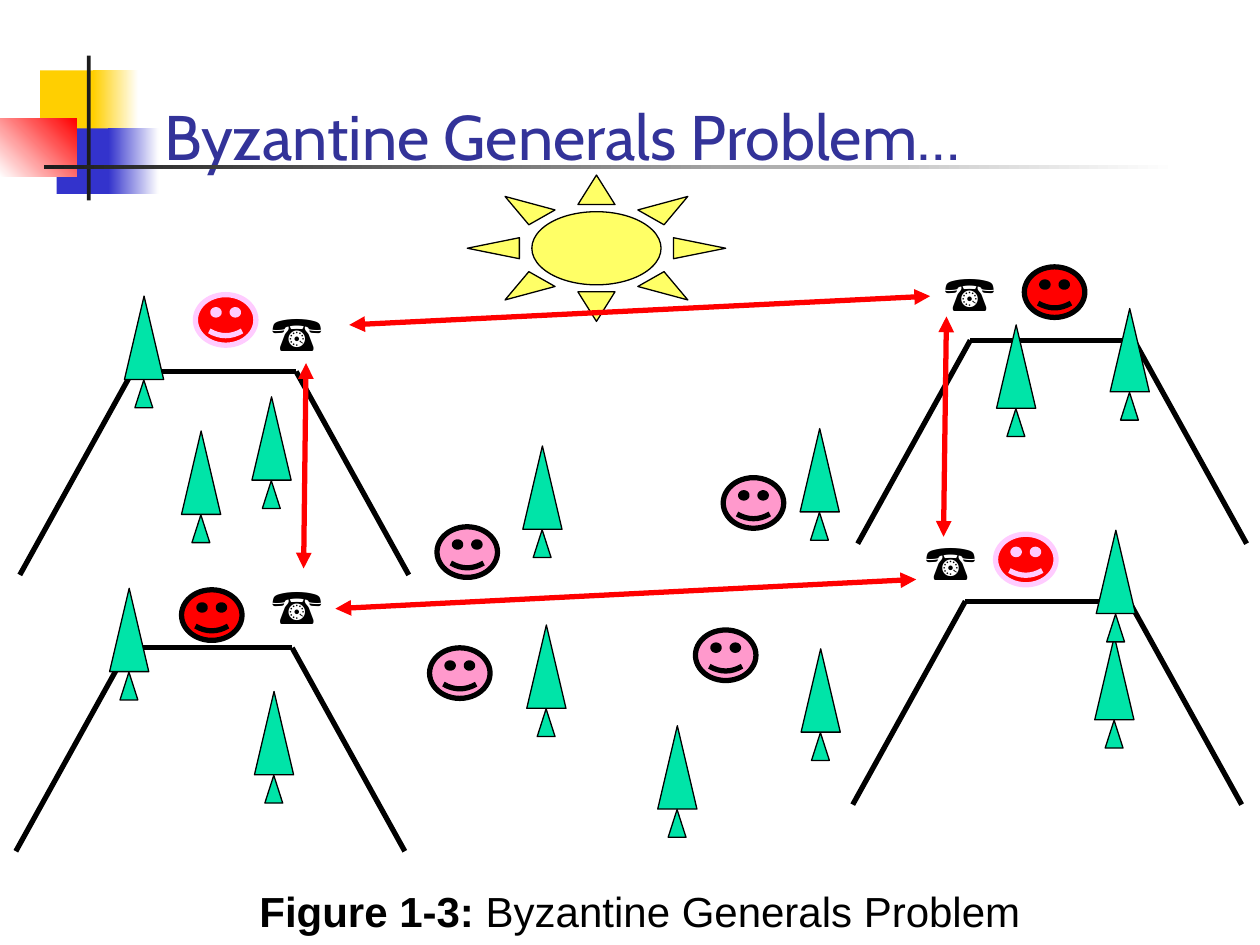
from pptx import Presentation
from pptx.dml.color import RGBColor
from pptx.enum.shapes import MSO_CONNECTOR, MSO_SHAPE
from pptx.enum.text import MSO_ANCHOR, MSO_AUTO_SIZE, PP_ALIGN
from pptx.oxml.ns import qn
from pptx.util import Cm, Pt
from lxml.etree import SubElement

rgb = RGBColor.from_string


def add_figure(shapes, preset, box, fill, outline=None, weight=0.75):
    figure = shapes.add_shape(preset, *map(Cm, box))
    figure.shadow.inherit = False
    figure.fill.solid()
    figure.fill.fore_color.rgb = rgb(fill)
    if outline:
        figure.line.color.rgb = rgb(outline)
        figure.line.width = Pt(weight)
    else:
        figure.line.fill.background()
    return figure


def add_line(shapes, ends, color, arrows=False):
    line = shapes.add_connector(MSO_CONNECTOR.STRAIGHT, *map(Cm, ends))
    line.line.color.rgb = rgb(color)
    line.line.width = Pt(3)
    properties = line._element.spPr
    if arrows:
        for end in ("a:headEnd", "a:tailEnd"):
            SubElement(properties.find(qn("a:ln")), qn(end), type="triangle")
    SubElement(properties, qn("a:effectLst"))


deck = Presentation()
deck.slide_width, deck.slide_height = Cm(25.4), Cm(19.05)
slide = deck.slides.add_slide(deck.slide_layouts[5])

# Corner decoration: box, colour or gradient stops, gradient angle
decoration = [
    ((0.81, 1.42, 1.22, 1.32), ["FFCF01"], 0),
    ((1.88, 1.42, 0.91, 1.32), ["FFCF01", "FFFFFF"], 0),
    ((1.14, 2.59, 1.17, 1.32), ["3333CC"], 0),
    ((2.18, 2.59, 1.02, 1.32), ["3333CC", "FFFFFF"], 0),
    ((0, 2.39, 1.55, 1.17), ["FFFFFF", "FF0000"], 45),
    ((1.75, 1.12, 0.08, 2.92), ["1C1C1C"], 0),
    ((0.89, 3.33, 22.86, 0.08), ["1C1C1C", "FFFFFF"], 0),
]
for box, colors, angle in decoration:
    block = add_figure(slide.shapes, MSO_SHAPE.RECTANGLE, box, colors[0])
    if len(colors) == 2:
        block.fill.gradient()
        block.fill.gradient_angle = angle
        for stop, color in zip(block.fill.gradient_stops, colors):
            stop.color.rgb = rgb(color)

# Title
title = slide.shapes.title
title.left, title.top, title.width, title.height = map(Cm, (3.07, 1.27, 21.64, 2.34))
title.text_frame.text = "Byzantine Generals Problem…"
title.text_frame.vertical_anchor = MSO_ANCHOR.BOTTOM
title.text_frame.auto_size = MSO_AUTO_SIZE.NONE
heading = title.text_frame.paragraphs[0]
heading.alignment = PP_ALIGN.LEFT
heading.font.name = "Cabin"
heading.font.size = Pt(36)
heading.font.color.rgb = rgb("333399")

# Hills: left end of each flat top
hilltop, slope_width, slope_height = 3.3, 2.27, 4.1
for left, top in [(19.46, 12.12), (19.56, 6.86), (2.59, 13.06), (2.67, 7.49)]:
    hill = slide.shapes.add_group_shape().shapes
    right, foot = left + hilltop, top + slope_height
    add_line(hill, (left, top, right, top), "000000")
    add_line(hill, (right, top, right + slope_width, foot), "000000")
    add_line(hill, (left, top, left - slope_width, foot), "000000")

# Generals on the hills, soldiers in the valley
faces = [
    (3.94, 5.94, "FF0000", "FFCCFF"),
    (3.66, 11.89, "FF0000", "000000"),
    (20.65, 5.38, "FF0000", "000000"),
    (20.07, 10.77, "FF0000", "FFCCFF"),
    (14.58, 9.63, "FF99CC", "000000"),
    (8.66, 13.06, "FF99CC", "000000"),
    (14.02, 12.7, "FF99CC", "000000"),
    (8.81, 10.62, "FF99CC", "000000"),
]
for left, top, fill, outline in faces:
    face = add_figure(slide.shapes, MSO_SHAPE.SMILEY_FACE,
                      (left, top, 1.22, 1.02), fill, outline, 3)
    face.adjustments[0] = 0.093

# Sun
add_figure(slide.shapes, MSO_SHAPE.SUN, (9.42, 3.53, 5.21, 2.95), "FFFF66", "000000")

# Trees: crown with a small base below
trees = [
    (22.38, 6.22), (20.09, 6.55), (16.13, 8.64), (22.07, 12.83), (10.54, 8.99),
    (5.13, 13.94), (22.1, 10.69), (16.15, 13.08), (10.62, 12.6), (2.21, 11.86),
    (3.66, 8.69), (13.26, 14.63), (2.51, 5.97), (5.08, 8),
]
for left, top in trees:
    tree = slide.shapes.add_group_shape().shapes
    for part in [(left, top, 0.79, 1.68), (left + 0.21, top + 1.69, 0.36, 0.56)]:
        add_figure(tree, MSO_SHAPE.ISOSCELES_TRIANGLE, part, "00E4A8", "000000")

# Telephones
for left, top in [(5.21, 5.97), (18.77, 5.16), (18.39, 10.59), (5.21, 11.48)]:
    phone = slide.shapes.add_textbox(Cm(left), Cm(top), Cm(1.55), Cm(1.45)).text_frame
    phone.word_wrap = False
    phone.auto_size = MSO_AUTO_SIZE.SHAPE_TO_FIT_TEXT
    phone.text = "☎"
    symbol = phone.paragraphs[0]
    symbol.alignment = PP_ALIGN.CENTER
    symbol.font.name = "Arial"
    symbol.font.size = Pt(28)
    symbol.font.color.rgb = rgb("000000")

# Calls between the generals
calls = [
    (7.04, 6.55, 18.75, 5.97),
    (6.76, 12.27, 18.47, 11.68),
    (6.17, 7.32, 6.12, 11.46),
    (19.08, 6.38, 19.02, 10.82),
]
for ends in calls:
    add_line(slide.shapes, ends, "FF0000", arrows=True)

# Caption
caption_box = slide.shapes.add_textbox(Cm(4.98), Cm(17.73), Cm(17.55), Cm(1.27))
caption_box.text_frame.word_wrap = True
caption = caption_box.text_frame.paragraphs[0]
for words, bold in [("Figure 1-3:", True), (" Byzantine Generals Problem", False)]:
    run = caption.add_run()
    run.text = words
    run.font.name = "Arial"
    run.font.size = Pt(24)
    run.font.bold = bold
    run.font.color.rgb = rgb("000000")

deck.save("out.pptx")
